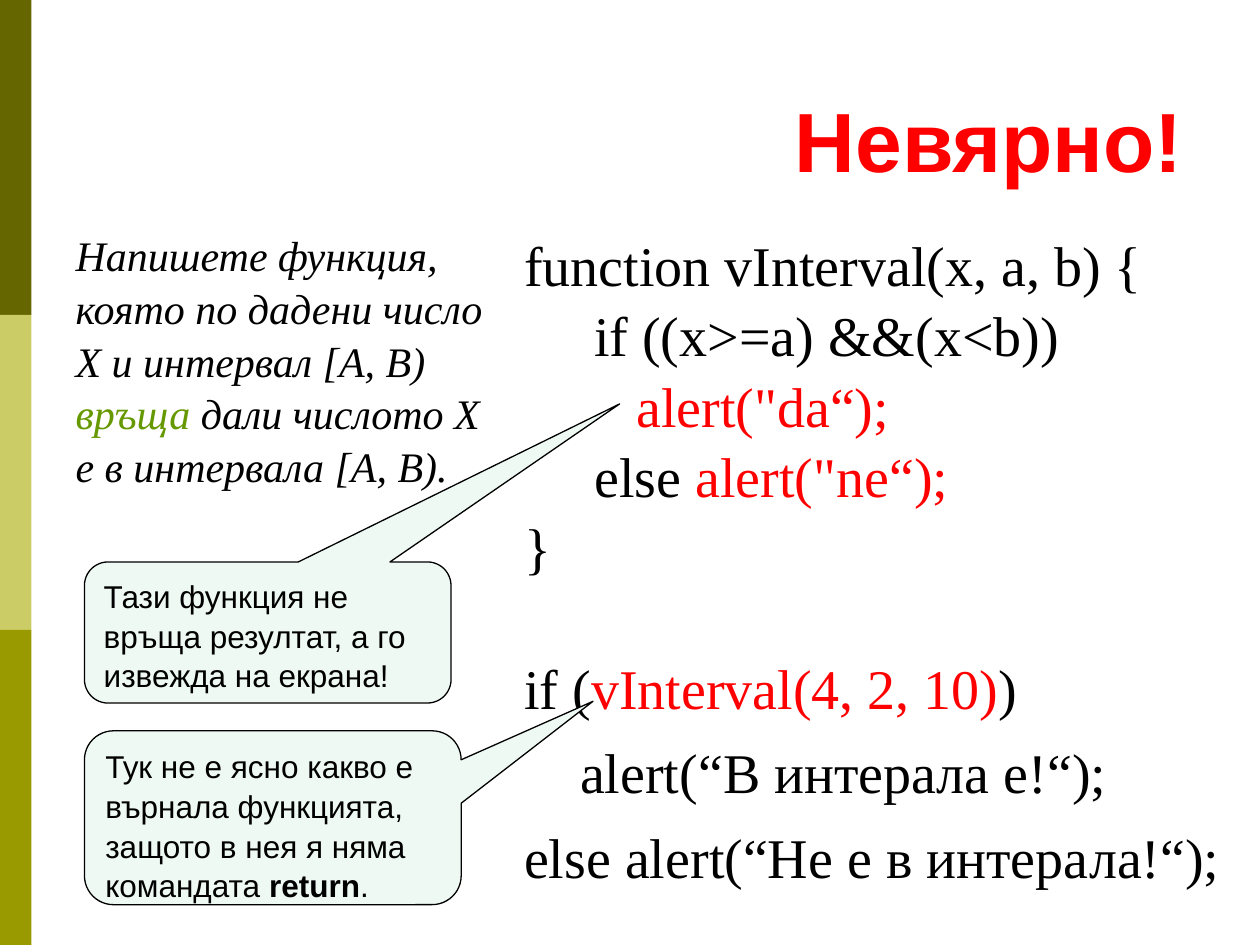
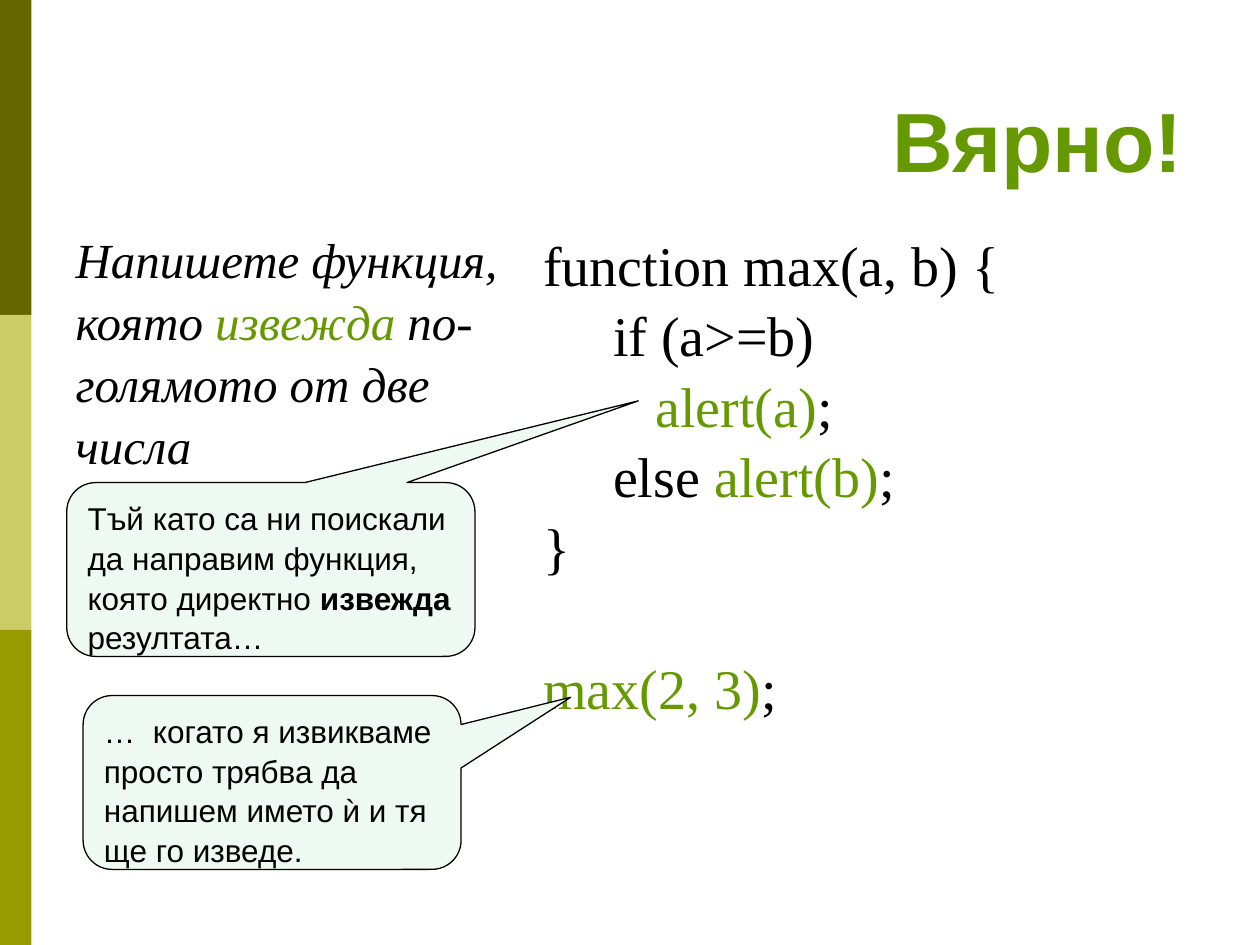
from copy import deepcopy

from lxml import etree
from pptx import Presentation
from pptx import util as u
from pptx.dml.color import RGBColor
from pptx.enum import shapes, text
from pptx.oxml.ns import qn

PX = 9144  # EMU in one px, 100 px to the inch
BLACK, RED, GREEN = "000000", "FF0000", "669900"
BAND_COLOURS = ("666600", "CCCC66", "999900")
CALLOUT_FILL = "EEF9F4"
TITLE_BOX = (50, 21, 899, 134)
TASK_BOX = (50, 175, 356, 495)
TWO_CONTENT = 3

TITLE = {"name": "Arial", "size": u.Pt(48), "bold": True}
TASK = {"name": "Times New Roman", "italic": True}
CODE = {"name": "Times New Roman", "size": u.Pt(32)}
NOTE = {"name": "Arial", "size": u.Pt(18)}


def colour(hex_string):
    return RGBColor.from_string(hex_string)


def set_values(target, values):
    for name, value in values.items():
        setattr(target, name, value)


def place(shape, box):
    names = ("left", "top", "width", "height")
    set_values(shape, {name: length * PX for name, length in zip(names, box)})


def add_run(paragraph, content, values, hex_string=BLACK, bold=None):
    """Add text in one format; each new line becomes a line break."""
    for index, line in enumerate(content.split("\n")):
        run = paragraph.add_run()
        run.text = line
        set_values(run.font, values)
        run.font.color.rgb = colour(hex_string)
        if bold is not None:
            run.font.bold = bold
        if index:
            # The break takes the format of the text around it
            line_break = etree.Element(qn("a:br"))
            line_break.append(deepcopy(run.font._element))
            run._r.addprevious(line_break)
        if not line:
            paragraph._p.remove(run._r)


def fill_text(shape, paragraphs, values, align=text.PP_ALIGN.LEFT,
              anchor=text.MSO_ANCHOR.TOP):
    """Write paragraphs, each a list of (text, colour, bold) runs."""
    frame = shape.text_frame
    set_values(frame, {
        "word_wrap": True, "auto_size": text.MSO_AUTO_SIZE.NONE,
        "vertical_anchor": anchor,
        "margin_left": 10 * PX, "margin_right": 10 * PX,
        "margin_top": 5 * PX, "margin_bottom": 5 * PX})
    for index, runs in enumerate(paragraphs):
        paragraph = frame.add_paragraph() if index else frame.paragraphs[0]
        set_values(paragraph, {
            "alignment": align, "line_spacing": 1.05,
            "space_before": u.Pt(8 if index else 0), "space_after": u.Pt(0)})
        properties = paragraph._p.get_or_add_pPr()
        properties.set("marL", "0")
        properties.set("indent", "0")
        etree.SubElement(properties, qn("a:buNone"))
        for run in runs:
            add_run(paragraph, run[0], values, *run[1:])


def add_bands(presentation, slide):
    """Draw the side bands and move them to the master."""
    tree = presentation.slide_master.shapes.element
    for index, hex_string in enumerate(BAND_COLOURS):
        band = slide.shapes.add_shape(shapes.MSO_SHAPE.RECTANGLE, 0, 0, 0, 0)
        place(band, (0, index * 250, 25, 250))
        band.shadow.inherit = False
        band.fill.solid()
        band.fill.fore_color.rgb = colour(hex_string)
        band.line.fill.background()
        tree.insert(2 + index, band.element)


def add_callout(slide, box, tip, runs):
    """Draw a speech box; tip is its point as a share of the box size."""
    callout = slide.shapes.add_shape(
        shapes.MSO_SHAPE.ROUNDED_RECTANGULAR_CALLOUT, 0, 0, 0, 0)
    place(callout, box)
    for index, value in enumerate((*tip, 0.167)):
        callout.adjustments[index] = value
    callout.shadow.inherit = False
    callout.fill.solid()
    callout.fill.fore_color.rgb = colour(CALLOUT_FILL)
    callout.line.color.rgb = colour(BLACK)
    callout.line.width = u.Pt(0.75)
    fill_text(callout, [runs], NOTE)


def add_example(presentation, title, title_colour, task, task_size,
                code, code_box, callouts):
    slide = presentation.slides.add_slide(
        presentation.slide_layouts[TWO_CONTENT])
    title_shape, task_shape, code_shape = slide.placeholders
    place(title_shape, TITLE_BOX)
    fill_text(title_shape, [[(title, title_colour)]], TITLE,
              text.PP_ALIGN.RIGHT, text.MSO_ANCHOR.BOTTOM)
    place(task_shape, TASK_BOX)
    fill_text(task_shape, [task], {**TASK, "size": u.Pt(task_size)})
    place(code_shape, code_box)
    fill_text(code_shape, code, CODE)
    for callout in callouts:
        add_callout(slide, *callout)
    return slide


def main():
    presentation = Presentation()
    presentation.slide_width = 1000 * PX
    presentation.slide_height = 750 * PX

    # Wrong: the function shows its result instead of returning it
    wrong = add_example(
        presentation, "Невярно!", RED,
        [("Напишете функция, която по дадени число X и интервал [A, B) ",),
         ("връща", GREEN),
         (" дали числото Х е в интервала [A, B).",)], 24,
        [[("function vInterval(x, a, b) {\n     if ((x>=a) &&(x<b))\n        ",),
          ("alert(\"da“);\n", RED),
          ("     else ",),
          ("alert(\"ne“);\n", RED),
          ("}\n\nif (",),
          ("vInterval(4, 2, 10)", RED),
          (")",)],
         [("    alert(“В интерала е!“);",)],
         [("else alert(“Не е в интерала!“);",)]],
        (406, 175, 583, 523),
        [((67, 446, 291, 112), (0.96, -1.62),
          [("Тази функция не връща резултат, а го извежда на екрана!",)]),
         ((67, 580, 299, 138), (0.85, -0.67),
          [("Тук не е ясно какво е върнала функцията, "
            "защото в нея я няма командата ",),
           ("return", BLACK, True),
           (".",)])])
    add_bands(presentation, wrong)

    # Right: the task asks for the result to be shown
    add_example(
        presentation, "Вярно!", GREEN,
        [("Напишете функция, която ",),
         ("извежда", GREEN),
         (" по-голямото от две числа",)], 28,
        [[("function max(a, b) {\n     if (a>=b)\n        ",),
          ("alert(a)", GREEN),
          (";\n     else ",),
          ("alert(b)", GREEN),
          (";\n}\n\n",),
          ("max(2, 3)", GREEN),
          (";",)]],
        (421, 175, 551, 495),
        [((53, 383, 324, 138), (0.9, -0.97),
          [("Тъй като са ни поискали да направим функция, "
            "която директно ",),
           ("извежда", BLACK, True),
           (" резултата…",)]),
         ((66, 552, 300, 138), (0.79, -0.49),
          [("…  когато я извикваме просто трябва да напишем "
            "името ѝ и тя ще го изведе.",)])])

    presentation.save("out.pptx")


if __name__ == "__main__":
    main()
